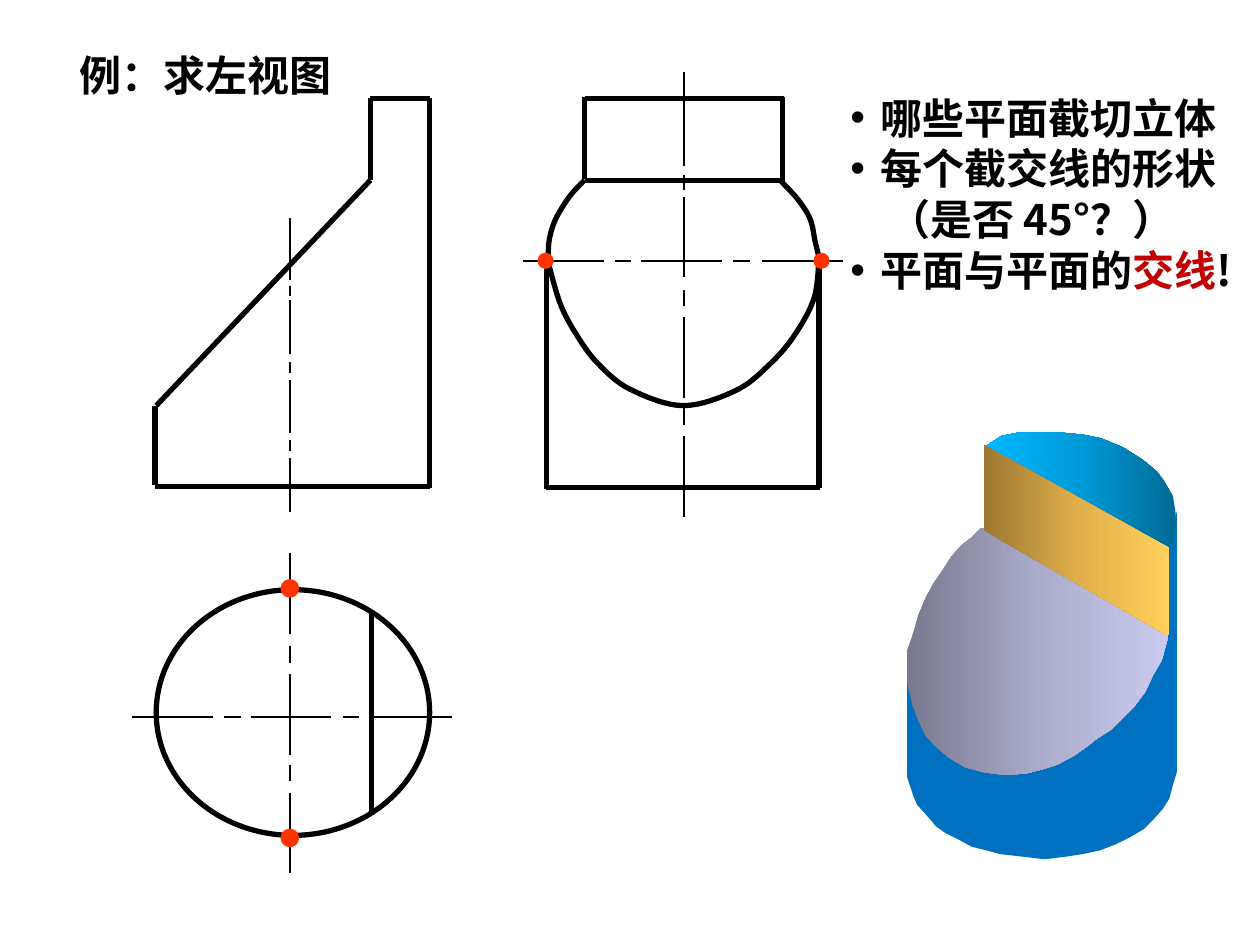
"""Build the slide on finding the left view of a cut cylinder."""
from copy import deepcopy

from lxml.etree import SubElement
from pptx import Presentation
from pptx.dml.color import RGBColor
from pptx.enum.shapes import MSO_CONNECTOR as Connector, MSO_SHAPE as Shape
from pptx.oxml.ns import qn
from pptx.util import Inches, Pt

BLACK = RGBColor(0x00, 0x00, 0x00)
RED = RGBColor(0xC0, 0x00, 0x00)
ORANGE = RGBColor(0xFF, 0x33, 0x00)
BLUE = RGBColor(0x00, 0x70, 0xC0)
VIOLETS = [RGBColor(0x78, 0x78, 0x8F), RGBColor(0xAB, 0xAB, 0xCB), RGBColor(0xCB, 0xCB, 0xF1)]
CYANS = [RGBColor(0x00, 0x6A, 0x96), RGBColor(0x00, 0x9A, 0xD9), RGBColor(0x00, 0xB8, 0xFF)]
GOLDS = [RGBColor(0x9C, 0x78, 0x31), RGBColor(0xE0, 0xAE, 0x4B), RGBColor(0xFF, 0xD0, 0x5B)]
FONT = "Noto Sans CJK SC"

TITLE = [("", 0, [("例：求左视图", BLACK)])]
QUESTIONS = [
    ("•", 0.24, [("哪些平面截切立体", BLACK)]),
    ("•", 0.24, [("每个截交线的形状", BLACK)]),
    ("", 0.3, [("（是否 45°？）", BLACK)]),
    ("•", 0.24, [("平面与平面的", BLACK), ("交线", RED), ("!", BLACK)]),
]

FRONT_EDGES = [
    (3.41, 3.86, 1.23, 3.86), (3.41, 3.87, 3.41, 0.78), (3.41, 0.78, 2.94, 0.78),
    (2.94, 1.43, 2.94, 0.78), (2.94, 1.43, 1.24, 3.22), (1.23, 3.85, 1.23, 3.22),
]
TOP_EDGES = [(2.95, 6.47, 2.95, 4.85)]
SIDE_EDGES = [
    (4.33, 3.87, 6.51, 3.87), (4.34, 3.88, 4.34, 2.06), (6.5, 3.87, 6.5, 2.06),
    (4.64, 0.78, 6.22, 0.78), (4.64, 1.43, 6.23, 1.43),
    (4.64, 1.42, 4.64, 0.77), (6.21, 0.77, 6.21, 1.44),
]
SIDE_CURVES = [
    [(4.35, 2.08), (4.45, 2.42), (4.59, 2.68), (4.75, 2.89), (5, 3.09), (5.42, 3.22),
     (5.84, 3.1), (6.1, 2.9), (6.3, 2.67), (6.46, 2.37), (6.5, 2.06)],
    [(6.19, 1.43), (6.33, 1.58), (6.43, 1.74), (6.47, 1.92), (6.51, 2.08)],
    [(4.64, 1.43), (4.52, 1.56), (4.41, 1.74), (4.36, 1.9), (4.35, 2.06)],
]
TOP_CIRCLE = (1.24, 4.68, 2.17, 1.95)

SHORT_CHAIN = [(0, 0.64), (0.73, 0.86), (0.94, 1.58), (1.67, 1.8), (1.9, 2.54)]
LONG_CHAIN = SHORT_CHAIN + [(2.59, 2.71), (2.78, 3.53)]
AXES = [
    (2.3, 4.06, 0, -0.66, LONG_CHAIN),
    (5.43, 4.1, 0, -1, LONG_CHAIN),
    (1.05, 5.69, 1, 0, SHORT_CHAIN),
    (2.3, 6.93, 0, -1, SHORT_CHAIN),
    (4.15, 2.07, 1, 0, SHORT_CHAIN),
]
MARKS = [(2.3, 4.67, 0.12), (2.3, 6.65, 0.12), (4.33, 2.07, 0.1), (6.52, 2.07, 0.1)]

BODY = [
    (7.2, 5.34), (7.2, 6.17), (7.25, 6.32), (7.28, 6.39), (7.38, 6.5), (7.43, 6.56),
    (7.5, 6.61), (7.62, 6.67), (7.71, 6.72), (7.83, 6.75), (7.94, 6.78), (8.12, 6.8),
    (8.29, 6.82), (8.46, 6.8), (8.59, 6.78), (8.73, 6.75), (8.86, 6.7), (8.96, 6.65),
    (9.08, 6.58), (9.15, 6.51), (9.23, 6.42), (9.28, 6.34), (9.31, 6.23), (9.34, 6.13),
    (9.34, 4.06), (9.31, 4.16), (9.3, 4.26), (9.27, 4.34), (9.27, 5.02), (9.24, 5.15),
]
SLOPE = [
    (7.79, 4.19), (7.72, 4.26), (7.63, 4.33), (7.55, 4.42), (7.48, 4.53), (7.41, 4.63),
    (7.35, 4.74), (7.29, 4.88), (7.25, 5.02), (7.2, 5.16), (7.2, 5.42), (7.24, 5.59),
    (7.29, 5.72), (7.34, 5.83), (7.42, 5.92), (7.54, 6.02), (7.66, 6.09), (7.81, 6.13),
    (7.97, 6.15), (8.14, 6.14), (8.26, 6.11), (8.39, 6.07), (8.52, 6), (8.62, 5.93),
    (8.71, 5.86), (8.82, 5.79), (8.9, 5.71), (9, 5.61), (9.09, 5.49), (9.15, 5.36),
    (9.22, 5.24), (9.28, 5.02),
]
CAP = [
    (7.81, 3.55), (9.28, 4.39), (9.33, 4.22), (9.33, 4.07), (9.31, 3.94), (9.24, 3.82),
    (9.18, 3.74), (9.07, 3.65), (8.91, 3.55), (8.74, 3.48), (8.59, 3.45), (8.38, 3.43),
    (8.1, 3.43), (7.95, 3.46),
]
WALL = [(7.81, 3.53), (7.81, 4.21), (9.26, 5.04), (9.28, 5.03), (9.28, 4.35)]
SOLID_FACES = [(BODY, [BLUE], 0), (SLOPE, VIOLETS, 0), (CAP, CYANS, 180), (WALL, GOLDS, 0)]


def add_edge(shapes, ends, width):
    edge = shapes.add_connector(Connector.STRAIGHT, *map(Inches, ends))
    edge.line.color.rgb = BLACK
    edge.line.width = Pt(width)
    SubElement(edge._element.spPr, qn("a:effectLst"))


def add_outline(shapes, points, closed):
    start, *rest = [(Inches(x), Inches(y)) for x, y in points]
    builder = shapes.build_freeform(*start)
    builder.add_line_segments(rest, close=closed)
    outline = builder.convert_to_shape()
    outline.shadow.inherit = False
    return outline


def smooth(knots, steps=8):
    padded = [knots[0], *knots, knots[-1]]
    points = [knots[0]]
    for a, b, c, d in zip(padded, padded[1:], padded[2:], padded[3:]):
        for step in range(1, steps + 1):
            t = step / steps
            points.append(tuple(
                q + t * (r - p) / 2 + t**2 * (p - 2.5 * q + 2 * r - s / 2)
                + t**3 * (3 * q - 3 * r + s - p) / 2
                for p, q, r, s in zip(a, b, c, d)))
    return points


def ink(shape, color, width):
    shape.line.color.rgb = color
    shape.line.width = Pt(width)


def paint(face, colors, angle):
    face.line.fill.background()
    if len(colors) == 1:
        face.fill.solid()
        face.fill.fore_color.rgb = colors[0]
        return
    face.fill.gradient()
    face.fill.gradient_angle = angle
    stop_list = face._element.spPr.find(".//" + qn("a:gsLst"))
    stop_list.append(deepcopy(stop_list[-1]))
    for index, (stop, color) in enumerate(zip(face.fill.gradient_stops, colors)):
        stop.position = index / 2
        stop.color.rgb = color


def add_text(shapes, box, paragraphs, wrap):
    frame = shapes.add_textbox(*map(Inches, box)).text_frame
    frame.word_wrap = wrap
    for index, (bullet, indent, pieces) in enumerate(paragraphs):
        paragraph = frame.add_paragraph() if index else frame.paragraphs[0]
        paragraph.line_spacing = Pt(29)
        props = paragraph._p.get_or_add_pPr()
        props.set("marL", str(Inches(indent)))
        if bullet:
            props.set("indent", str(-Inches(indent)))
            SubElement(props, qn("a:buFont"), typeface="Arial")
            SubElement(props, qn("a:buChar"), char=bullet)
        for words, color in pieces:
            run = paragraph.add_run()
            run.text = words
            run.font.size = Pt(24)
            run.font.bold = True
            run.font.name = FONT
            run.font.color.rgb = color
            SubElement(run._r.get_or_add_rPr(), qn("a:ea"), typeface=FONT)


def main():
    deck = Presentation()
    deck.slide_width, deck.slide_height = Inches(10), Inches(7.5)
    shapes = deck.slides.add_slide(deck.slide_layouts[6]).shapes

    circle = shapes.add_shape(Shape.OVAL, *map(Inches, TOP_CIRCLE))
    circle.shadow.inherit = False
    circle.fill.background()
    ink(circle, BLACK, 3)
    for ends in FRONT_EDGES + TOP_EDGES + SIDE_EDGES:
        add_edge(shapes, ends, 3)
    for knots in SIDE_CURVES:
        curve = add_outline(shapes, smooth(knots), False)
        curve.fill.background()
        ink(curve, BLACK, 3)
    for points, colors, angle in SOLID_FACES:
        paint(add_outline(shapes, points, True), colors, angle)

    add_text(shapes, (0.53, 0.34, 2.23, 0.51), TITLE, False)
    add_text(shapes, (6.65, 0.68, 3.35, 2.12), QUESTIONS, True)

    for x, y, dx, dy, chain in AXES:
        for start, end in chain:
            add_edge(shapes, (x + dx * start, y + dy * start, x + dx * end, y + dy * end), 1.2)
    for x, y, size in MARKS:
        mark = shapes.add_shape(
            Shape.OVAL, *map(Inches, (x - size / 2, y - size / 2, size, size)))
        mark.shadow.inherit = False
        mark.fill.solid()
        mark.fill.fore_color.rgb = ORANGE
        ink(mark, ORANGE, 2)
    deck.save("out.pptx")


if __name__ == "__main__":
    main()
